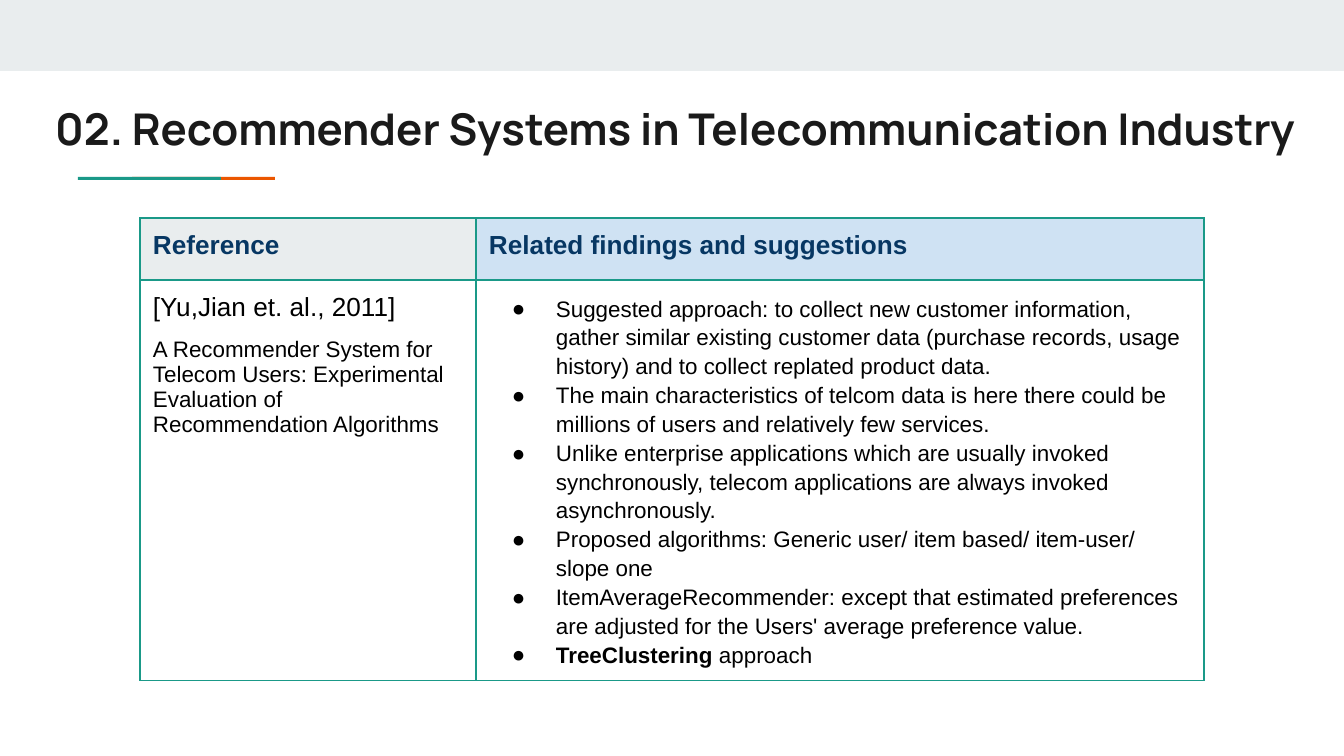
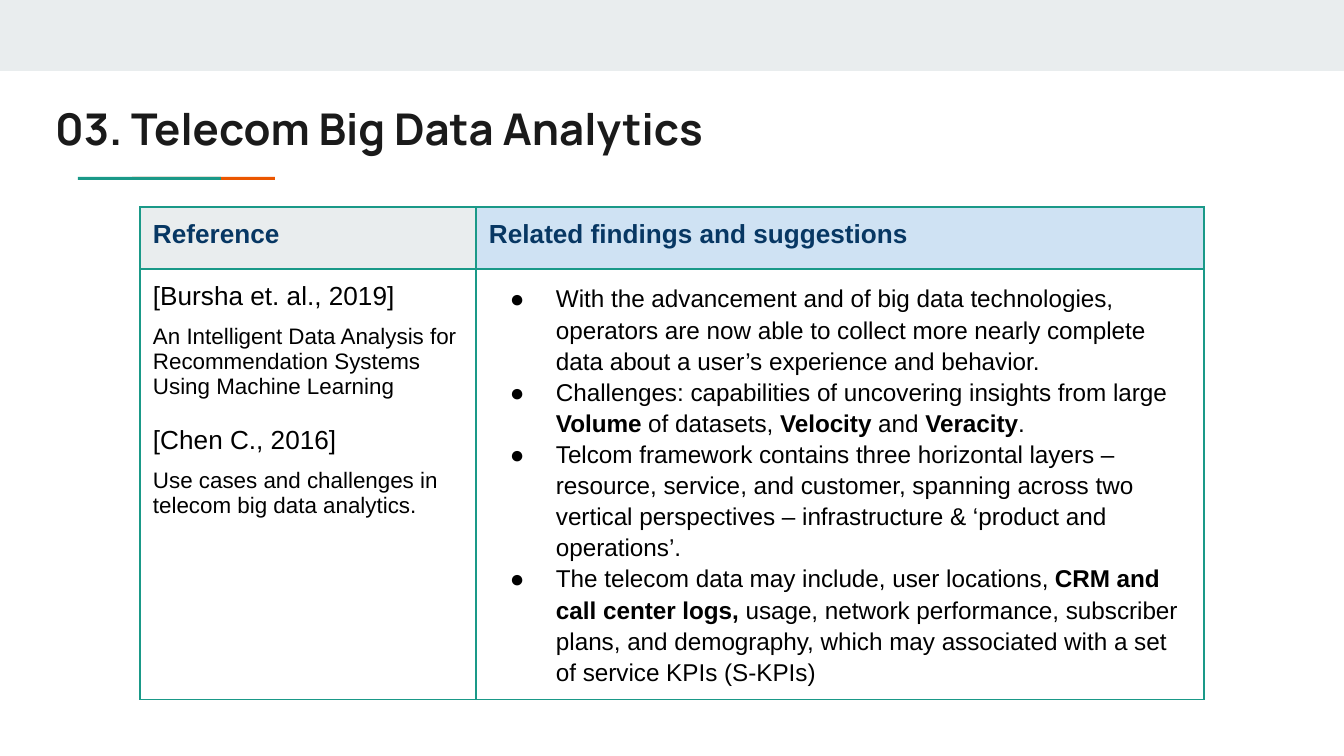
from dataclasses import dataclass

from lxml import etree
from pptx import Presentation
from pptx.dml.color import RGBColor
from pptx.enum.shapes import MSO_SHAPE
from pptx.enum.text import MSO_ANCHOR, MSO_AUTO_SIZE, PP_ALIGN
from pptx.oxml.ns import qn
from pptx.util import Emu, Pt

RECT = MSO_SHAPE.RECTANGLE
LEFT = PP_ALIGN.LEFT
TOP = MSO_ANCHOR.TOP
MIDDLE = MSO_ANCHOR.MIDDLE
FIXED = MSO_AUTO_SIZE.NONE
SCALE = 914400 / 134.4


@dataclass(frozen=True)
class Theme:
    band: str = "E9EDEE"
    teal: str = "1A9988"
    rust: str = "EB5600"
    ink: str = "1A1A1A"
    navy: str = "073763"
    sky: str = "CFE2F3"
    black: str = "000000"
    display: str = "Manrope"
    body: str = "Arial"
    title: float = 23.4
    head: int = 14
    note: int = 12
    large: int = 13
    rule: float = 0.75


THEME = Theme()
HEADS = ["Reference", "Related findings and suggestions"]

TELECOM = {
    "title": "02. Recommender Systems in Telecommunication Industry",
    "top": 218,
    "size": THEME.note,
    "hang": 44,
    "refs": [
        ("[Yu,Jian et. al., 2011]", THEME.head, 0),
        ("A Recommender System for Telecom Users: Experimental Evaluation of "
         "Recommendation Algorithms", THEME.note, 8),
    ],
    "points": [
        "Suggested approach: to collect new customer information, gather similar existing "
        "customer data (purchase records, usage history) and to collect replated product data.",
        "The main characteristics of telcom data is here there could be millions of users "
        "and relatively few services.",
        "Unlike enterprise applications which are usually invoked synchronously, telecom "
        "applications are always invoked asynchronously.",
        "Proposed algorithms: Generic user/ item based/ item-user/ slope one",
        "ItemAverageRecommender: except that estimated preferences are adjusted for the "
        "Users' average preference value.",
        "**TreeClustering** approach",
    ],
}

BIG_DATA = {
    "title": "03. Telecom Big Data Analytics",
    "top": 207,
    "size": THEME.large,
    "hang": 46,
    "refs": [
        ("[Bursha et. al., 2019]", THEME.head, 0),
        ("An Intelligent Data Analysis for Recommendation Systems Using Machine Learning",
         THEME.note, 7),
        ("[Chen C., 2016]", THEME.head, 14),
        ("Use cases and challenges in telecom big data analytics.", THEME.note, 7),
    ],
    "points": [
        "With the advancement and of big data technologies, operators are now able to collect "
        "more nearly complete data about a user’s experience and behavior.",
        "Challenges: capabilities of uncovering insights from large **Volume** of datasets, "
        "**Velocity** and **Veracity**.",
        "Telcom framework contains three horizontal layers – resource, service, and customer, "
        "spanning across two vertical perspectives – infrastructure & ‘product and operations’.",
        "The telecom data may include, user locations, **CRM and call center logs,** usage, "
        "network performance, subscriber plans, and demography, which may associated with "
        "a set of service KPIs (S-KPIs)",
    ],
}


def px(count):
    return Emu(round(count * SCALE))


def style(run, size, color, bold=False, face=THEME.body):
    font = run.font
    font.name = face
    font.size = Pt(size)
    font.bold = bold
    font.color.rgb = RGBColor.from_string(color)


def add_bar(slide, left, top, width, height, color):
    bar = slide.shapes.add_shape(RECT, px(left), px(top), px(width), px(height))
    bar.shadow.inherit = False
    bar.fill.solid()
    bar.fill.fore_color.rgb = RGBColor.from_string(color)
    bar.line.fill.background()


def set_inset(item):
    item.margin_left = item.margin_right = px(13)
    item.margin_top = item.margin_bottom = px(13)


def set_title(slide, text):
    title = slide.shapes.title
    title.left, title.top, title.width, title.height = px(42), px(89), px(1274), px(79)
    frame = title.text_frame
    frame.text = text
    frame.word_wrap = True
    frame.auto_size = FIXED
    frame.vertical_anchor = MIDDLE
    set_inset(frame)
    para = frame.paragraphs[0]
    para.alignment = LEFT
    style(para.runs[0], THEME.title, THEME.ink, True, THEME.display)


def set_cell(cell, fill=None):
    set_inset(cell)
    cell.vertical_anchor = TOP
    props = cell._tc.get_or_add_tcPr()
    for side in ("a:lnL", "a:lnR", "a:lnT", "a:lnB"):
        line = etree.SubElement(props, qn(side), w=str(Pt(THEME.rule)))
        solid = etree.SubElement(line, qn("a:solidFill"))
        etree.SubElement(solid, qn("a:srgbClr"), val=THEME.teal)
    if fill:
        cell.fill.solid()
        cell.fill.fore_color.rgb = RGBColor.from_string(fill)
    else:
        cell.fill.background()


def fill_paras(frame, lines):
    frame.text = "\n".join(lines)
    return frame.paragraphs


def set_bullet(para, hang):
    para.line_spacing = 1.15
    props = para._p.get_or_add_pPr()
    props.set("marL", str(px(67)))
    props.set("indent", str(-px(hang)))
    color = etree.SubElement(props, qn("a:buClr"))
    etree.SubElement(color, qn("a:srgbClr"), val=THEME.black)
    etree.SubElement(props, qn("a:buFont"), typeface=THEME.body)
    etree.SubElement(props, qn("a:buChar"), char="●")


def add_refs(cell, refs):
    paras = fill_paras(cell.text_frame, [text for text, _, _ in refs])
    for para, (_, size, gap) in zip(paras, refs):
        para.space_before = Pt(gap)
        style(para.runs[0], size, THEME.black)


def add_points(cell, points, size, hang):
    parts = [point.split("**") for point in points]
    paras = fill_paras(cell.text_frame, [part[0] for part in parts])
    for para, part in zip(paras, parts):
        set_bullet(para, hang)
        for run in para.runs:
            style(run, size, THEME.black)
        for place, text in enumerate(part[1:], 1):
            run = para.add_run()
            run.text = text
            style(run, size, THEME.black, place % 2 == 1)


def add_grid(slide, topic):
    shape = slide.shapes.add_table(2, 2, px(140), px(topic["top"]), px(1064), px(284))
    table = shape.table
    table.first_row = table.horz_banding = False
    for column, width in zip(table.columns, (336, 728)):
        column.width = px(width)
    for row, height in zip(table.rows, (62, 222)):
        row.height = px(height)
    for place, (text, fill) in enumerate(zip(HEADS, (THEME.band, THEME.sky))):
        head = table.cell(0, place)
        set_cell(head, fill)
        head.text_frame.text = text
        style(head.text_frame.paragraphs[0].runs[0], THEME.head, THEME.navy, True)
        set_cell(table.cell(1, place))
    add_refs(table.cell(1, 0), topic["refs"])
    add_points(table.cell(1, 1), topic["points"], topic["size"], topic["hang"])


def add_topic(deck, topic):
    slide = deck.slides.add_slide(deck.slide_layouts[5])
    add_bar(slide, 0, 0, 1344, 71, THEME.band)
    add_bar(slide, 132, 177, 143, 3, THEME.rust)
    add_bar(slide, 78, 177, 143, 3, THEME.teal)
    set_title(slide, topic["title"])
    add_grid(slide, topic)


def main():
    deck = Presentation()
    deck.slide_width, deck.slide_height = px(1344), px(756)
    for topic in (TELECOM, BIG_DATA):
        add_topic(deck, topic)
    deck.save("out.pptx")


if __name__ == "__main__":
    main()
